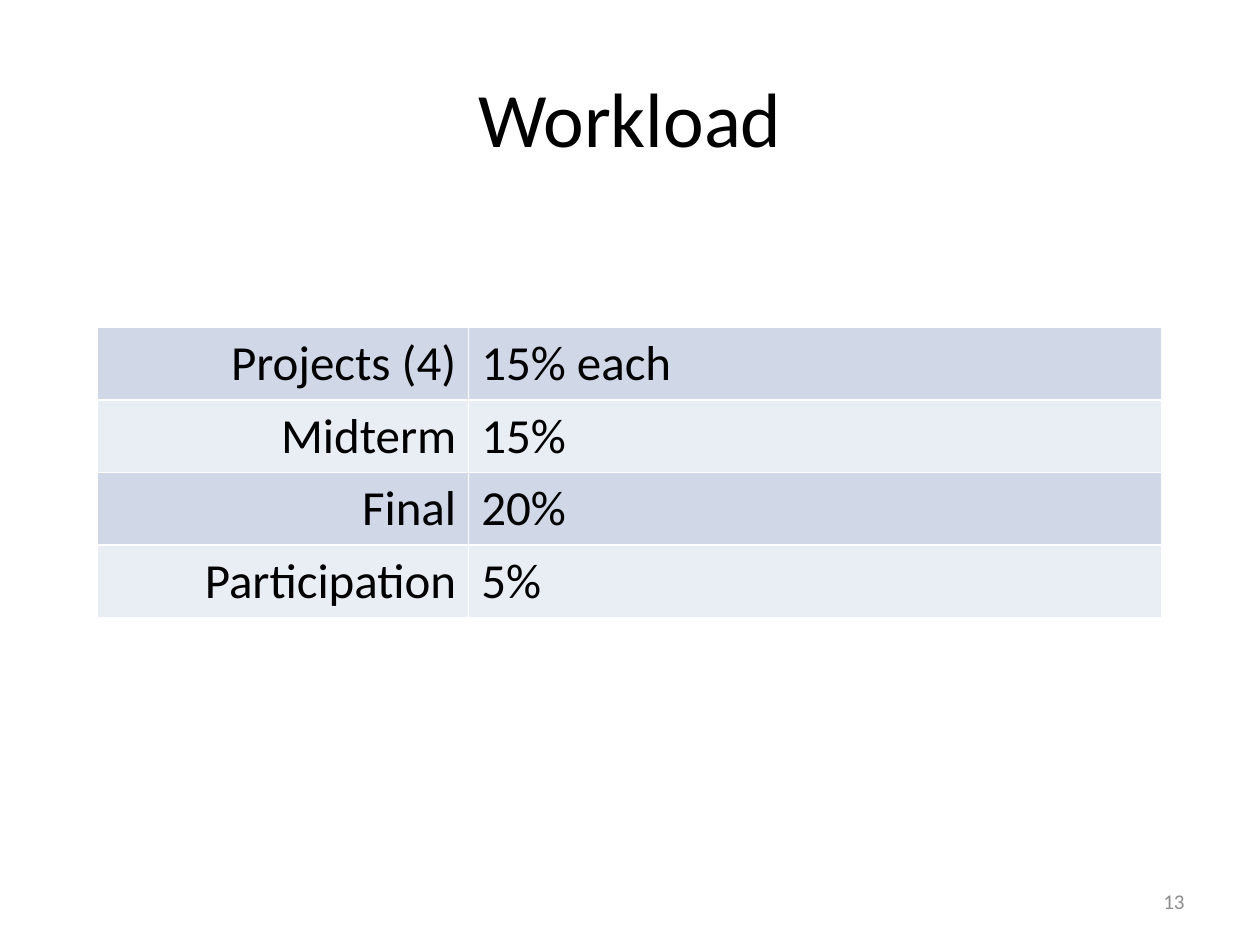
from dataclasses import dataclass

from pptx import Presentation
from pptx.dml.color import RGBColor
from pptx.enum import text
from pptx.util import Inches, Pt


@dataclass(frozen=True)
class Theme:
    font: str = "Calibri"
    ink: str = "000000"
    muted: str = "8C8C8C"
    bands: tuple[str, str] = ("D0D8E8", "E9EDF4")
    title_size: int = 44
    table_size: int = 28
    number_size: int = 12


@dataclass(frozen=True)
class GradeItem:
    name: str
    weight: str


THEME = Theme()
ALIGN = text.PP_ALIGN
ITEMS = [
    GradeItem("Projects (4)", "15% each"),
    GradeItem("Midterm", "15%"),
    GradeItem("Final", "20%"),
    GradeItem("Participation", "5%"),
]
COLUMN_WIDTHS = (2.95, 5.5)
ROW_HEIGHT = 0.57


def write(tf, words: str, *, size: int, color: str = THEME.ink, align=ALIGN.LEFT) -> None:
    p = tf.paragraphs[0]
    p.alignment = align
    r = p.add_run()
    r.text = words
    r.font.name = THEME.font
    r.font.size = Pt(size)
    r.font.color.rgb = RGBColor.from_string(color)


def add_title(slide, words: str) -> None:
    sp = slide.shapes.title
    sp.left, sp.top, sp.width, sp.height = map(Inches, (0.5, 0.3, 9, 1.25))
    sp.text_frame.vertical_anchor = text.MSO_ANCHOR.MIDDLE
    write(sp.text_frame, words, size=THEME.title_size, align=ALIGN.CENTER)


def add_workload(slide, items: list[GradeItem]) -> None:
    table = slide.shapes.add_table(
        len(items), len(COLUMN_WIDTHS), Inches(0.77), Inches(2.6),
        Inches(sum(COLUMN_WIDTHS)), Inches(ROW_HEIGHT * len(items)),
    ).table
    table.first_row = False
    for column, width in zip(table.columns, COLUMN_WIDTHS):
        column.width = Inches(width)
    for i, item in enumerate(items):
        table.rows[i].height = Inches(ROW_HEIGHT)
        entries = ((item.name, ALIGN.RIGHT), (item.weight, ALIGN.LEFT))
        for j, (words, align) in enumerate(entries):
            cell = table.cell(i, j)
            cell.fill.solid()
            cell.fill.fore_color.rgb = RGBColor.from_string(THEME.bands[i % 2])
            write(cell.text_frame, words, size=THEME.table_size, align=align)


def add_number(slide, number: str) -> None:
    sp = slide.shapes.add_textbox(*map(Inches, (7.17, 6.95, 2.33, 0.4)))
    tf = sp.text_frame
    tf.word_wrap = True
    tf.vertical_anchor = text.MSO_ANCHOR.MIDDLE
    write(tf, number, size=THEME.number_size, color=THEME.muted, align=ALIGN.RIGHT)


def main() -> None:
    prs = Presentation()
    prs.slide_width, prs.slide_height = Inches(10), Inches(7.5)
    slide = prs.slides.add_slide(prs.slide_layouts[5])
    add_title(slide, "Workload")
    add_workload(slide, ITEMS)
    add_number(slide, "13")
    prs.save("out.pptx")


if __name__ == "__main__":
    main()
